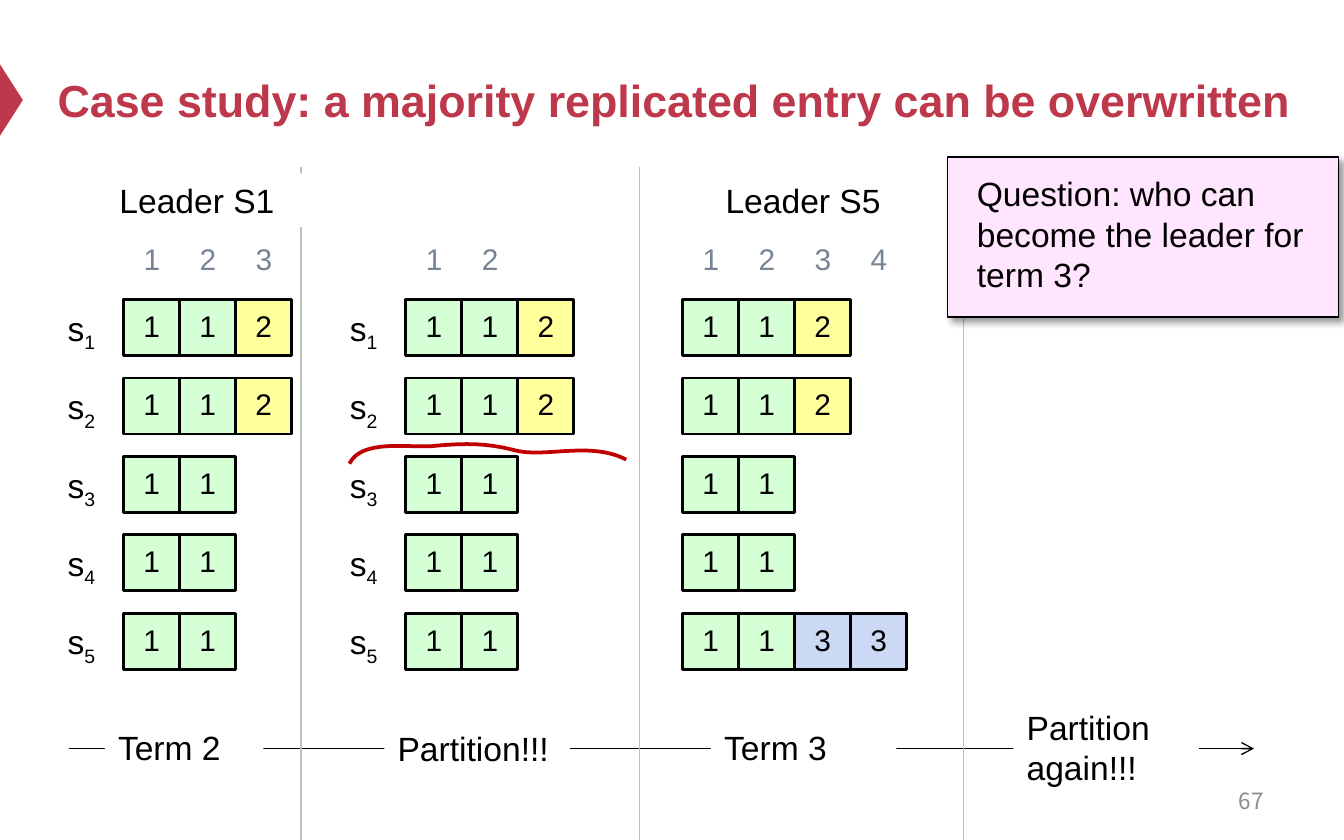
from lxml import etree
from pptx import Presentation
from pptx import util as u
from pptx.dml.color import RGBColor
from pptx.enum import shapes, text
from pptx.oxml import ns

COLORS = {
    "accent": "BE384B", "ink": "000000", "index": "778495", "page": "8C8C8C",
    "divider": "BFBFBF", "paper": "FFFFFF", "split": "C00000", "question": "FFE6FE",
}
TERM_COLORS = {"1": "D5FFD5", "2": "FFFF9B", "3": "CCD9F4"}

CELL = 5 / 12
ROW_PITCH = 7 / 12
LOG_TOP = 2.23


def rgb(value):
    return RGBColor.from_string(value)


def write(frame, content, size=18, color=COLORS["ink"], font="Arial", bold=False,
          align=None, anchor=text.MSO_ANCHOR.TOP, inset=None, spacing=None,
          subscript="", grow=False):
    frame.word_wrap = True
    frame.vertical_anchor = anchor
    if grow:
        frame.auto_size = text.MSO_AUTO_SIZE.SHAPE_TO_FIT_TEXT
    if inset is not None:
        frame.margin_left = frame.margin_right = u.Inches(inset)
        frame.margin_top = frame.margin_bottom = u.Inches(inset)
    paragraph = frame.paragraphs[0]
    paragraph.alignment = align or text.PP_ALIGN.LEFT
    if spacing:
        paragraph.line_spacing = u.Pt(spacing)
    for part in filter(None, (content, subscript)):
        run = paragraph.add_run()
        run.text = part
        run.font.size = u.Pt(size)
        run.font.name = font
        run.font.bold = bold
        run.font.color.rgb = rgb(color)
    if subscript:
        run.font._element.set("baseline", "-25000")


class Board:
    """Draws on one slide or group; lengths are given in inches."""

    def __init__(self, canvas):
        self.shapes = canvas.shapes

    def label(self, content, x, y, w, h, **style):
        box = self.shapes.add_textbox(*map(u.Inches, (x, y, w, h)))
        write(box.text_frame, content, **style)

    def block(self, x, y, w, h, fill, content="", line=None,
              kind=shapes.MSO_SHAPE.RECTANGLE, **style):
        block = self.shapes.add_shape(kind, *map(u.Inches, (x, y, w, h)))
        block.shadow.inherit = False
        block.fill.solid()
        block.fill.fore_color.rgb = rgb(fill)
        if line:
            block.line.color.rgb = rgb(COLORS["ink"])
            block.line.width = u.Pt(line)
        else:
            block.line.fill.background()
        if content:
            write(block.text_frame, content, **style)
        return block

    def line(self, x1, y1, x2, y2, color, arrow=False):
        line = self.shapes.add_connector(
            shapes.MSO_CONNECTOR.STRAIGHT, *map(u.Inches, (x1, y1, x2, y2)))
        line.line.color.rgb = rgb(color)
        line.line.width = u.Pt(0.75)
        if arrow:
            outline = line._element.spPr.find(ns.qn("a:ln"))
            etree.SubElement(outline, ns.qn("a:tailEnd"), type="arrow")
        etree.SubElement(line._element.spPr, ns.qn("a:effectLst"))

    def curve(self, points, color, width):
        """Draw cubic Bézier segments: a start, then two controls and an end each."""
        start, *rest = [(u.Inches(x), u.Inches(y)) for x, y in points]
        builder = self.shapes.build_freeform(*start)
        builder.add_line_segments(rest, close=False)
        curve = builder.convert_to_shape()
        steps = curve._element.spPr.findall(".//" + ns.qn("a:lnTo"))
        for first in range(0, len(steps), 3):
            bezier = etree.SubElement(steps[first].getparent(), ns.qn("a:cubicBezTo"))
            for step in steps[first:first + 3]:
                bezier.append(step[0])
                step.getparent().remove(step)
        curve.shadow.inherit = False
        curve.fill.background()
        curve.line.color.rgb = rgb(color)
        curve.line.width = u.Pt(width)

    def log(self, x, entries, index_count, servers=True):
        """Draw one replicated log per server, each a string of terms."""
        for i in range(index_count):
            self.label(str(i + 1), x + 0.05 + i * CELL, 1.74, CELL, 0.37,
                       size=16, color=COLORS["index"], grow=True)
        for row, terms in enumerate(entries):
            y = LOG_TOP + row * ROW_PITCH
            if servers:
                self.label("s", x - CELL, y + 0.06, CELL, 0.3,
                           subscript=str(row + 1), inset=0, grow=True)
            for column, term in enumerate(terms):
                self.block(x + column * CELL, y, CELL, CELL, TERM_COLORS[term], term,
                           line=1.5, size=16, inset=0, spacing=17,
                           align=text.PP_ALIGN.CENTER, anchor=text.MSO_ANCHOR.MIDDLE)

    def callout(self, content, x, y, w, h):
        group = Board(self.shapes.add_group_shape())
        card = group.block(x, y, w, h, COLORS["question"], line=1)
        effects = card._element.spPr.find(ns.qn("a:effectLst"))
        shadow = etree.SubElement(
            effects, ns.qn("a:outerShdw"), blurRad=str(u.Pt(4)), dist=str(u.Pt(3)),
            dir="2700000", algn="tl", rotWithShape="0")
        shade = etree.SubElement(shadow, ns.qn("a:srgbClr"), val=COLORS["ink"])
        etree.SubElement(shade, ns.qn("a:alpha"), val="40000")
        group.label(content, x + 0.12, y + 0.07, w, 1.01, grow=True)


def main():
    deck = Presentation()
    deck.slide_width, deck.slide_height = u.Inches(10), u.Inches(6.25)
    board = Board(deck.slides.add_slide(deck.slide_layouts[6]))

    marker = board.block(-0.18, 0.66, 0.53, 0.17, COLORS["accent"],
                         kind=shapes.MSO_SHAPE.ISOSCELES_TRIANGLE)
    marker.rotation = 90
    board.label("Case study: a majority replicated entry can be overwritten",
                0.33, 0.25, 9.87, 0.98, size=24, color=COLORS["accent"], bold=True,
                anchor=text.MSO_ANCHOR.MIDDLE)
    board.label("67", 7.17, 5.79, 2.33, 0.33, size=12, color=COLORS["page"],
                font="Noto Sans CJK SC", align=text.PP_ALIGN.RIGHT,
                anchor=text.MSO_ANCHOR.MIDDLE)

    board.line(0.51, 5.57, 9.33, 5.57, COLORS["ink"], arrow=True)
    for x, top in ((2.24, 1.24), (4.76, 1.24), (7.17, 1.29)):
        board.line(x, top, x, top + 5.19, COLORS["divider"])

    for content, x, y, w, h in (
        ("Leader S1", 0.79, 1.29, 1.49, 0.4),
        ("Leader S5", 5.3, 1.29, 1.49, 0.4),
        ("Term 2", 0.78, 5.36, 1.18, 0.4),
        ("Partition!!!", 2.86, 5.37, 1.38, 0.4),
        ("Term 3", 5.29, 5.36, 1.38, 0.4),
        ("Partition again!!!", 7.54, 5.21, 1.38, 0.71),
    ):
        board.block(x, y, w, h, COLORS["paper"], content, grow=True)

    before_partition = ["112", "112", "11", "11", "11"]
    after_partition = before_partition[:4] + ["1133"]
    board.log(0.92, before_partition, index_count=3)
    board.log(3.02, before_partition, index_count=2)
    board.log(5.08, after_partition, index_count=4, servers=False)

    board.curve([(2.6, 3.45), (2.69, 3.27), (3.01, 3.33), (3.21, 3.32),
                 (3.42, 3.3), (3.6, 3.29), (3.83, 3.35),
                 (4.06, 3.41), (4.39, 3.28), (4.66, 3.42)], COLORS["split"], 2)
    board.callout("Question: who can become the leader for term 3?",
                  7.05, 1.17, 2.91, 1.19)

    deck.save("out.pptx")


if __name__ == "__main__":
    main()
